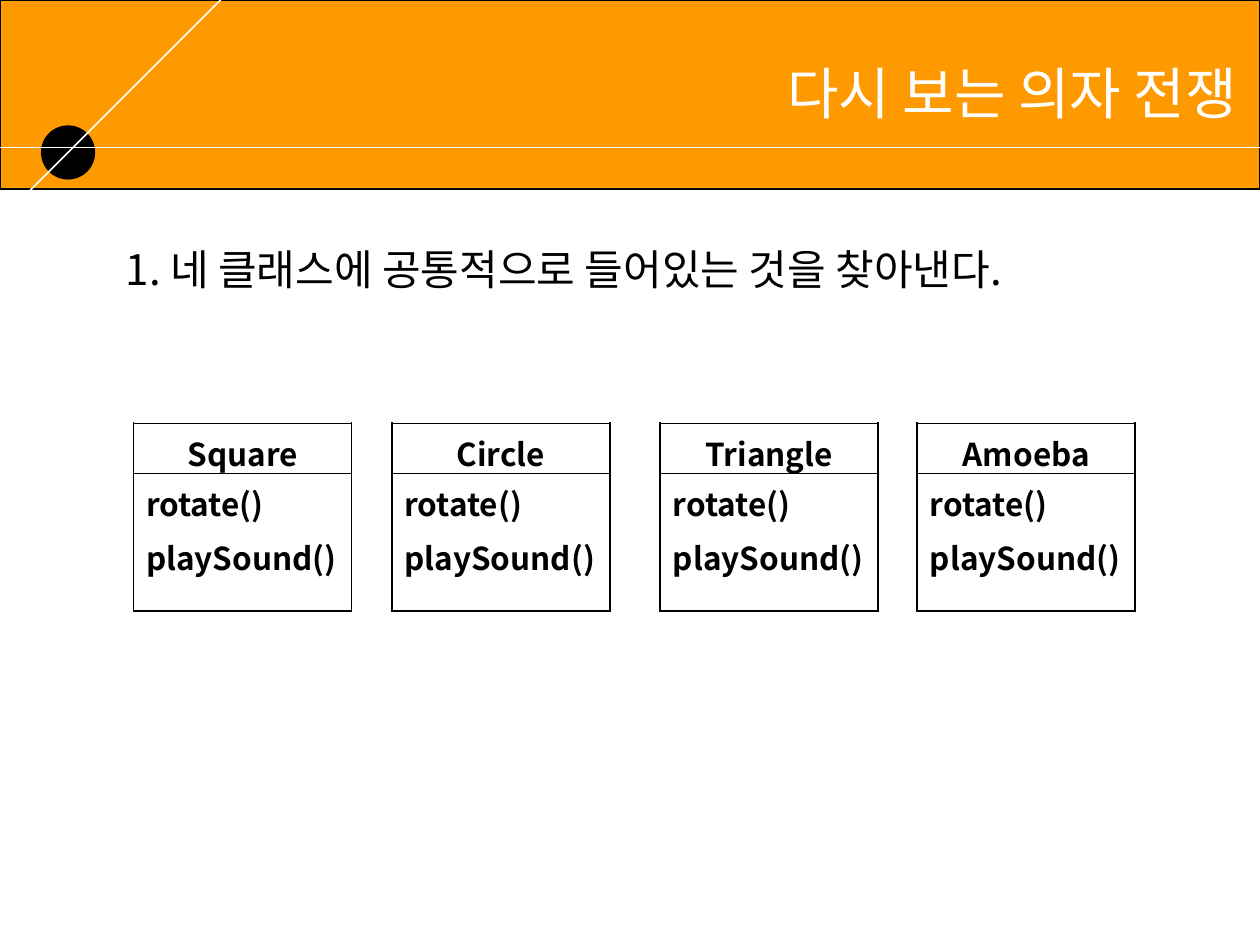
from dataclasses import dataclass

from lxml.etree import SubElement
from pptx import Presentation
from pptx.dml.color import RGBColor
from pptx.enum.shapes import MSO_CONNECTOR as Connector, MSO_SHAPE as Shape
from pptx.enum.text import MSO_ANCHOR as Anchor, PP_ALIGN as Align
from pptx.oxml.ns import qn
from pptx.util import Inches, Pt


@dataclass(frozen=True)
class Theme:
    font: str = "Noto Sans CJK KR"
    orange: str = "FF9900"
    white: str = "FFFFFF"
    black: str = "000000"
    backdrop: str = "C0C0C0"
    title_size: int = 32
    body_size: int = 24
    class_size: int = 18
    outer_border: float = 1.08
    inner_border: float = 0.45


theme = Theme()


def add_run(paragraph, text, size, color, bold=False):
    run = paragraph.add_run()
    run.text = text
    run.font.name = theme.font
    run.font.size = Pt(size)
    run.font.bold = bold
    run.font.color.rgb = RGBColor.from_string(color)
    properties = run.font._element
    SubElement(properties, qn("a:ea"), typeface=theme.font)


def add_border(cell, side, width):
    properties = cell._tc.get_or_add_tcPr()
    line = SubElement(properties, qn(f"a:ln{side}"), w=str(Pt(width)))
    fill = SubElement(line, qn("a:solidFill"))
    SubElement(fill, qn("a:srgbClr"), val=theme.black)


presentation = Presentation()
presentation.slide_width = Inches(10)
presentation.slide_height = Inches(7.5)
slide = presentation.slides.add_slide(presentation.slide_layouts[6])
slide.background.fill.solid()
slide.background.fill.fore_color.rgb = RGBColor.from_string(theme.backdrop)

# Page, header band and dot
for kind, left, top, width, height, color, outlined in (
    (Shape.RECTANGLE, 0, 1.5, 10, 6, theme.white, False),
    (Shape.RECTANGLE, 0, 0, 10, 1.5, theme.orange, True),
    (Shape.OVAL, 0.33, 1, 0.42, 0.42, theme.black, True),
):
    shape = slide.shapes.add_shape(
        kind, Inches(left), Inches(top), Inches(width), Inches(height))
    shape.shadow.inherit = False
    shape.fill.solid()
    shape.fill.fore_color.rgb = RGBColor.from_string(color)
    if outlined:
        shape.line.color.rgb = RGBColor.from_string(theme.black)
        shape.line.width = Pt(0.75)
    else:
        shape.line.fill.background()

# Header lines
for start_x, start_y, end_x, end_y in ((0, 1.17, 10, 1.17), (0, 1.75, 1.75, 0)):
    connector = slide.shapes.add_connector(
        Connector.STRAIGHT, Inches(start_x), Inches(start_y),
        Inches(end_x), Inches(end_y))
    connector.line.color.rgb = RGBColor.from_string(theme.white)
    connector.line.width = Pt(1)
    SubElement(connector._element.spPr, qn("a:effectLst"))

# Title
title = slide.shapes.add_textbox(
    Inches(1.42), Inches(0.28), Inches(8.5), Inches(0.91))
title.text_frame.word_wrap = True
title.text_frame.vertical_anchor = Anchor.MIDDLE
paragraph = title.text_frame.paragraphs[0]
paragraph.alignment = Align.RIGHT
add_run(paragraph, "다시 보는 의자 전쟁", theme.title_size, theme.white)

# Class boxes
methods = ("rotate()", "playSound()")
for name, left in (
    ("Square", 1.06), ("Circle", 3.11), ("Triangle", 5.24), ("Amoeba", 7.28),
):
    frame = slide.shapes.add_table(
        2, 1, Inches(left), Inches(3.36), Inches(1.73), Inches(1.5))
    table = frame.table
    table.first_row = False
    table.horz_banding = False
    table.rows[0].height = Inches(0.4)
    table.rows[1].height = Inches(1.09)

    outer, inner = theme.outer_border, theme.inner_border
    for row, (lines, alignment, top_width, bottom_width) in enumerate((
        ((name,), Align.CENTER, outer, inner),
        (methods, Align.LEFT, inner, outer),
    )):
        cell = table.cell(row, 0)
        for side, width in (
            ("L", outer), ("R", outer), ("T", top_width), ("B", bottom_width),
        ):
            add_border(cell, side, width)
        cell.fill.background()
        text_frame = cell.text_frame
        for index, text in enumerate(lines):
            if index == 0:
                paragraph = text_frame.paragraphs[0]
            else:
                paragraph = text_frame.add_paragraph()
                paragraph.space_before = Pt(4.5)
            paragraph.alignment = alignment
            add_run(paragraph, text, theme.class_size, theme.black, bold=True)

# Step description with a hanging indent
step = slide.shapes.add_textbox(
    Inches(0.9), Inches(1.88), Inches(8.58), Inches(0.54))
step.text_frame.word_wrap = True
paragraph = step.text_frame.paragraphs[0]
indent = Inches(0.38)
properties = paragraph._p.get_or_add_pPr()
properties.set("marL", str(indent))
properties.set("indent", str(-indent))
add_run(paragraph, "1. 네 클래스에 공통적으로 들어있는 것을 찾아낸다.",
        theme.body_size, theme.black)

presentation.save("out.pptx")
